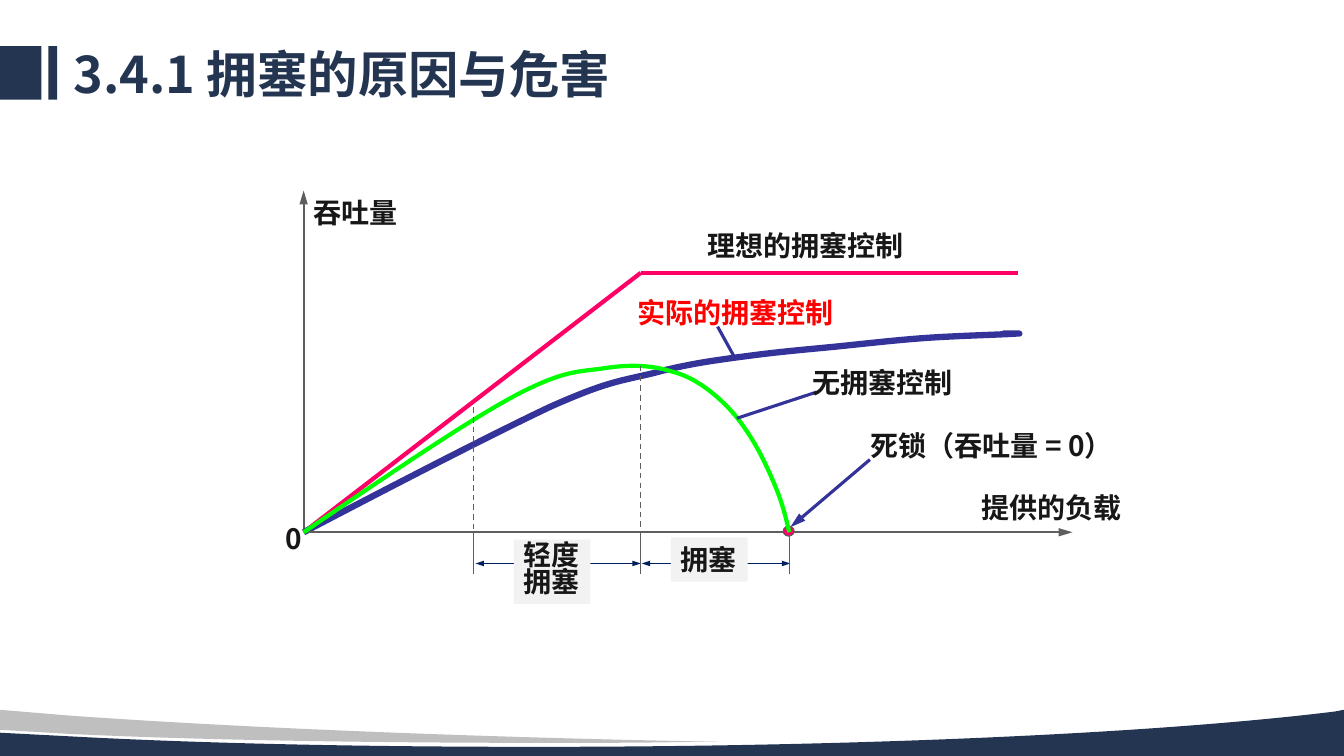
from lxml import etree
from pptx import Presentation
from pptx import util as u
from pptx.dml.color import RGBColor
from pptx.enum import dml, shapes, text
from pptx.oxml import ns

COLOURS = {
    "navy": "243551", "silver": "BFBFBF", "ink": "171717", "red": "FF0000",
    "pink": "FF0066", "indigo": "333399", "green": "00FF00", "grey": "5E5E5E",
    "span": "002060", "label": "F2F2F2",
}
COLOURS = {name: RGBColor.from_string(value) for name, value in COLOURS.items()}
CJK = "Noto Sans CJK JP"
LONG_HEAD = {"type": "triangle", "w": "med", "len": "lg"}
SLIM_HEAD = {"type": "triangle", "w": "sm", "len": "med"}

deck = Presentation()
deck.slide_width, deck.slide_height = u.Pt(960), u.Pt(540)
page = deck.slides.add_slide(deck.slide_layouts[6])


def draw_line(start, end, colour, width, heads={}, dashed=False):
    line = page.shapes.add_connector(
        shapes.MSO_CONNECTOR.STRAIGHT, *[u.Pt(value) for value in start + end])
    line.line.color.rgb = COLOURS[colour]
    line.line.width = u.Pt(width)
    if dashed:
        line.line.dash_style = dml.MSO_LINE.DASH
    outline = line.line._get_or_add_ln()
    for side, head in heads.items():
        etree.SubElement(outline, ns.qn("a:" + side), **head)
    etree.SubElement(line._element.spPr, ns.qn("a:effectLst"))


def draw_outline(start, segments, colour, width=None):
    points = [(u.Pt(x), u.Pt(y)) for segment in segments for x, y in segment]
    builder = page.shapes.build_freeform(u.Pt(start[0]), u.Pt(start[1]))
    builder.add_line_segments(points, close=width is None)
    shape = builder.convert_to_shape()
    shape.shadow.inherit = False
    corners = iter(shape._element.spPr.findall(".//" + ns.qn("a:lnTo")))
    for segment in segments:
        first, *others = [next(corners) for point in segment]
        if others:
            first.tag = ns.qn("a:cubicBezTo")
            for corner in others:
                first.append(corner[0])
                corner.getparent().remove(corner)
    if width is None:
        shape.fill.solid()
        shape.fill.fore_color.rgb = COLOURS[colour]
        shape.line.fill.background()
    else:
        shape.fill.background()
        shape.line.color.rgb = COLOURS[colour]
        shape.line.width = u.Pt(width)


for left, width in ((0, 29.5), (34.6, 6.2)):
    bar = page.shapes.add_shape(
        shapes.MSO_SHAPE.RECTANGLE, u.Pt(left), u.Pt(33), u.Pt(width), u.Pt(38.2))
    bar.shadow.inherit = False
    bar.fill.solid()
    bar.fill.fore_color.rgb = COLOURS["navy"]
    bar.line.fill.background()

draw_outline((960, 507), [
    [(960, 540)], [(0, 540)], [(0, 523.4)], [(55.4, 526.3)],
    [(152.6, 531.4), (264.2, 533.5), (383, 533.5)],
    [(621.4, 533.5), (830.2, 523.4), (953.3, 508.3)],
], "navy")
draw_outline((0, 507), [
    [(50.4, 511.2)],
    [(162.7, 519.1), (300.2, 524.9), (447.8, 528.5)],
    [(514.8, 529.9)], [(492.5, 529.9)],
    [(460.8, 530.6), (427.7, 530.6), (394.6, 530.6)],
    [(259.9, 530.6), (138.2, 528.5), (49.7, 524.2)],
    [(0, 521.3)],
], "silver")

origin = (216.9, 380.2)
axis_y = origin[1]
light, heavy, deadlock = 338.3, 457.7, 563.7
knee = (heavy, 194.9)

draw_line(origin, (origin[0], 136.1), "grey", 1.5, {"tailEnd": LONG_HEAD})
draw_line(origin, knee, "pink", 3)
draw_line(knee, (727.2, knee[1]), "pink", 3)
draw_outline(origin, [
    [(284.4, 344.9), (351.4, 310.3), (392.4, 290.9)],
    [(434.2, 272.2), (443.5, 272.2), (467.3, 266.4)],
    [(491, 259.9), (513.4, 257), (535, 254.2)],
    [(556.6, 251.3), (574.6, 249.8), (596.2, 247.7)],
    [(617.8, 245.5), (643, 242.6), (664.6, 241.2)],
    [(686.2, 239.8), (717.1, 239), (725.8, 238.3)],
    [(734.4, 238.3), (717.8, 238.3), (716.4, 238.3)],
], "indigo", 4.5)
draw_line((512.6, 233.3), (524.9, 255.6), "indigo", 2.25)
draw_line(origin, (766.1, axis_y), "grey", 1.5, {"tailEnd": LONG_HEAD})
draw_line((621.4, 328.3), (564.5, 376.6), "indigo", 2.25, {"tailEnd": LONG_HEAD})

dot = page.shapes.add_shape(
    shapes.MSO_SHAPE.OVAL, u.Pt(559.4), u.Pt(375.8), u.Pt(7.9), u.Pt(7.2))
dot.shadow.inherit = False
dot.fill.solid()
dot.fill.fore_color.rgb = COLOURS["pink"]
dot.line.color.rgb = COLOURS["grey"]
dot.line.width = u.Pt(0.75)

for start, end in ((heavy + 0.7, 564.5), (light + 1.4, heavy)):
    draw_line((start, 402.5), (end, 402.5), "span", 0.75,
              {"headEnd": SLIM_HEAD, "tailEnd": SLIM_HEAD})
draw_outline(origin, [
    [(274.3, 341.3), (331.2, 302.4), (367.2, 283)],
    [(403.9, 263.5), (414.7, 265.7), (433.4, 262.8)],
    [(452.9, 259.9), (467.3, 261.4), (481, 265.7)],
    [(494.6, 269.3), (506.2, 277.9), (515.5, 286.6)],
    [(524.9, 295.2), (532.1, 305.3), (538.6, 316.1)],
    [(545, 326.9), (550.8, 339.8), (555.1, 350.6)],
    [(559.4, 361.4), (561.6, 370.8), (563.8, axis_y)],
], "green", 3)
draw_line((583.2, 280.1), (526.3, 298.8), "indigo", 2.25)
for x, top in ((heavy, 261.4), (light, 290.9)):
    draw_line((x, top), (x, axis_y), "grey", 1, dashed=True)
for x in (light, heavy, deadlock):
    draw_line((x, axis_y), (x, 409.7), "grey", 0.75)

plain = {"size": 20, "colour": "ink", "font": CJK, "wrap": False,
         "spacing": None, "anchor": text.MSO_ANCHOR.TOP, "fill": None}
labels = [
    ("3.4.1 拥塞的原因与危害", (45.4, 32.4, 718.6, 46.1),
     {"size": 36, "colour": "navy", "wrap": True, "spacing": 0.9,
      "anchor": text.MSO_ANCHOR.MIDDLE}),
    ("提供的负载", (694.1, 347, 115.2, 31.7), {}),
    ("吞吐量", (216.7, 136.1, 74.9, 31.7), {}),
    ("理想的拥塞控制", (498.2, 159.8, 154.8, 31.7), {"font": "Arial"}),
    ("实际的拥塞控制", (448, 207.8, 154.8, 31.7), {"colour": "red"}),
    ("0", (197, 368.8, 24.5, 31.7), {}),
    ("死锁（吞吐量 = 0）", (614.9, 302.6, 195.8, 31.7), {"wrap": True}),
    ("无拥塞控制", (573.1, 257.2, 115.2, 31.7), {}),
    ("拥塞", (479.3, 383.8, 54.7, 31.7), {"fill": "label"}),
    ("轻度\n拥塞", (367.1, 385.4, 54.7, 46.1), {"fill": "label", "spacing": 0.8}),
]
for words, place, changes in labels:
    style = plain | changes
    box = page.shapes.add_textbox(*[u.Pt(value) for value in place])
    frame = box.text_frame
    frame.text = words
    for name, value in {"word_wrap": style["wrap"],
                        "vertical_anchor": style["anchor"],
                        "auto_size": text.MSO_AUTO_SIZE.SHAPE_TO_FIT_TEXT}.items():
        setattr(frame, name, value)
    if style["fill"]:
        box.fill.solid()
        box.fill.fore_color.rgb = COLOURS[style["fill"]]
    for para in frame.paragraphs:
        para.line_spacing = style["spacing"]
        for span in para.runs:
            for name, value in {"size": u.Pt(style["size"]), "bold": True,
                                "name": style["font"]}.items():
                setattr(span.font, name, value)
            span.font.color.rgb = COLOURS[style["colour"]]
            etree.SubElement(span._r.get_or_add_rPr(), ns.qn("a:ea"), typeface=CJK)

deck.save("out.pptx")
